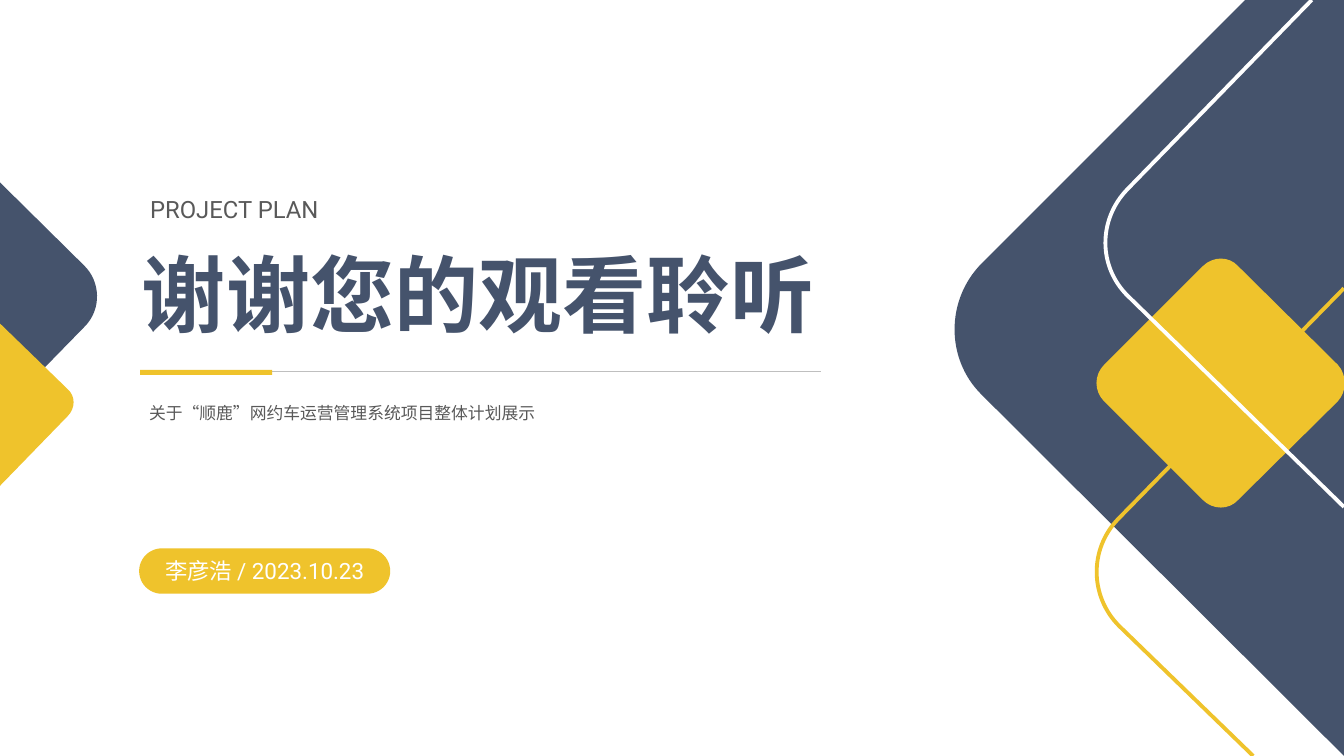
from lxml import etree
from pptx import Presentation
from pptx.dml.color import RGBColor
from pptx.enum.lang import MSO_LANGUAGE_ID
from pptx.enum.shapes import MSO_CONNECTOR, MSO_SHAPE
from pptx.enum.text import MSO_ANCHOR, PP_ALIGN
from pptx.oxml.ns import qn
from pptx.util import Inches, Pt

STRAIGHT = MSO_CONNECTOR.STRAIGHT
RECT = MSO_SHAPE.RECTANGLE
ROUND_RECT = MSO_SHAPE.ROUNDED_RECTANGLE
MIDDLE = MSO_ANCHOR.MIDDLE
LEFT, CENTER, JUSTIFY = PP_ALIGN.LEFT, PP_ALIGN.CENTER, PP_ALIGN.JUSTIFY
CHINESE = MSO_LANGUAGE_ID.SIMPLIFIED_CHINESE

NAVY = RGBColor(0x45, 0x53, 0x6C)
YELLOW = RGBColor(0xEF, 0xC3, 0x2C)
WHITE = RGBColor(0xFF, 0xFF, 0xFF)
GREY = RGBColor(0x59, 0x59, 0x59)
RULE_GREY = RGBColor(0xBF, 0xBF, 0xBF)
FONT = "Roboto"


def bend_curves(sp, steps):
    segments = iter(list(sp._element.iter(qn("a:lnTo"))))
    for step in steps[1:]:
        first = next(segments)
        if len(step) == 6:
            first.tag = qn("a:cubicBezTo")
            curve = etree.Element(qn("a:cubicBezTo"))
            first.addprevious(curve)
            for segment in (first, next(segments), next(segments)):
                curve.append(segment[0])
                segment.getparent().remove(segment)


def add_outline(slide, steps, fill=None, line=None):
    points = [(Inches(x), Inches(y))
              for step in steps for x, y in zip(step[::2], step[1::2])]
    builder = slide.shapes.build_freeform(*points[0])
    builder.add_line_segments(points[1:], close=fill is not None)
    sp = builder.convert_to_shape()
    bend_curves(sp, steps)
    sp.shadow.inherit = False
    if fill is not None:
        sp.fill.solid()
        sp.fill.fore_color.rgb = fill
        sp.line.fill.background()
    else:
        sp.fill.background()
        sp.line.color.rgb = line
        sp.line.width = Pt(2.75)


def add_filled(slide, kind, x, y, w, h, fill):
    sp = slide.shapes.add_shape(kind, Inches(x), Inches(y), Inches(w), Inches(h))
    sp.shadow.inherit = False
    sp.fill.solid()
    sp.fill.fore_color.rgb = fill
    sp.line.fill.background()
    return sp


def write(sp, text, size, color, align=LEFT, bold=False):
    tf = sp.text_frame
    tf.word_wrap = True
    p = tf.paragraphs[0]
    p.text = text
    p.alignment = align
    font = p.runs[0].font
    font.size = Pt(size)
    font.bold = bold
    font.color.rgb = color
    font.name = FONT
    font.language_id = CHINESE


def add_text(slide, x, y, w, h, *args, **kwargs):
    sp = slide.shapes.add_textbox(Inches(x), Inches(y), Inches(w), Inches(h))
    write(sp, *args, **kwargs)


def add_rule(slide, x1, x2, y):
    line = slide.shapes.add_connector(
        STRAIGHT, Inches(x1), Inches(y), Inches(x2), Inches(y))
    line.line.color.rgb = RULE_GREY
    line.line.width = Pt(0.5)
    etree.SubElement(line._element.spPr, qn("a:effectLst"))


def add_right_decor(slide):
    add_outline(slide, [
        (12.35, 0), (13.33, 0), (13.33, 7.5), (13.27, 7.44), (9.73, 3.91),
        (9.38, 3.56, 9.38, 2.98, 9.73, 2.62)], fill=NAVY)
    add_outline(slide, [
        (12.43, 7.5), (11.1, 6.21), (10.81, 5.92, 10.8, 5.45, 11.09, 5.15),
        (13.33, 2.86)], line=YELLOW)
    add_outline(slide, [
        (13.27, 3.62), (12.28, 2.64), (12.19, 2.54, 12.03, 2.54, 11.93, 2.64),
        (10.95, 3.62), (10.85, 3.72, 10.85, 3.88, 10.95, 3.98),
        (11.93, 4.96), (12.03, 5.06, 12.19, 5.06, 12.28, 4.96),
        (13.27, 3.98), (13.36, 3.88, 13.36, 3.72, 13.27, 3.62)], fill=YELLOW)
    add_outline(slide, [
        (13.33, 5.03), (11.19, 2.94), (10.89, 2.65, 10.89, 2.18, 11.18, 1.88),
        (13.01, 0)], line=WHITE)


def add_left_decor(slide):
    add_outline(slide, [
        (0, 1.81), (0.83, 2.63), (1, 2.79, 1.01, 3.07, 0.84, 3.24),
        (0, 4.1)], fill=NAVY)
    add_outline(slide, [
        (0, 3.21), (0.67, 3.86), (0.75, 3.93, 0.75, 4.05, 0.67, 4.13),
        (0, 4.82)], fill=YELLOW)


def main():
    prs = Presentation()
    prs.slide_width = Inches(13.33)
    prs.slide_height = Inches(7.5)
    slide = prs.slides.add_slide(prs.slide_layouts[6])

    add_right_decor(slide)
    add_left_decor(slide)
    add_text(slide, 1.38, 3.95, 6.99, 0.3,
             "关于“顺鹿”网约车运营管理系统项目整体计划展示", 12, GREY)
    add_text(slide, 1.31, 2.36, 6.99, 1.11, "谢谢您的观看聆听", 60, NAVY, bold=True)
    badge = add_filled(slide, ROUND_RECT, 1.38, 5.44, 2.49, 0.45, YELLOW)
    badge.adjustments[0] = 0.5
    badge.text_frame.vertical_anchor = MIDDLE
    write(badge, "李彦浩 / 2023.10.23", 16, WHITE, CENTER)
    add_text(slide, 1.39, 1.88, 2.48, 0.39, "PROJECT PLAN", 17, GREY, JUSTIFY)
    add_rule(slide, 1.39, 8.14, 3.68)
    add_filled(slide, RECT, 1.39, 3.67, 1.31, 0.05, YELLOW)

    prs.save("out.pptx")


if __name__ == "__main__":
    main()
